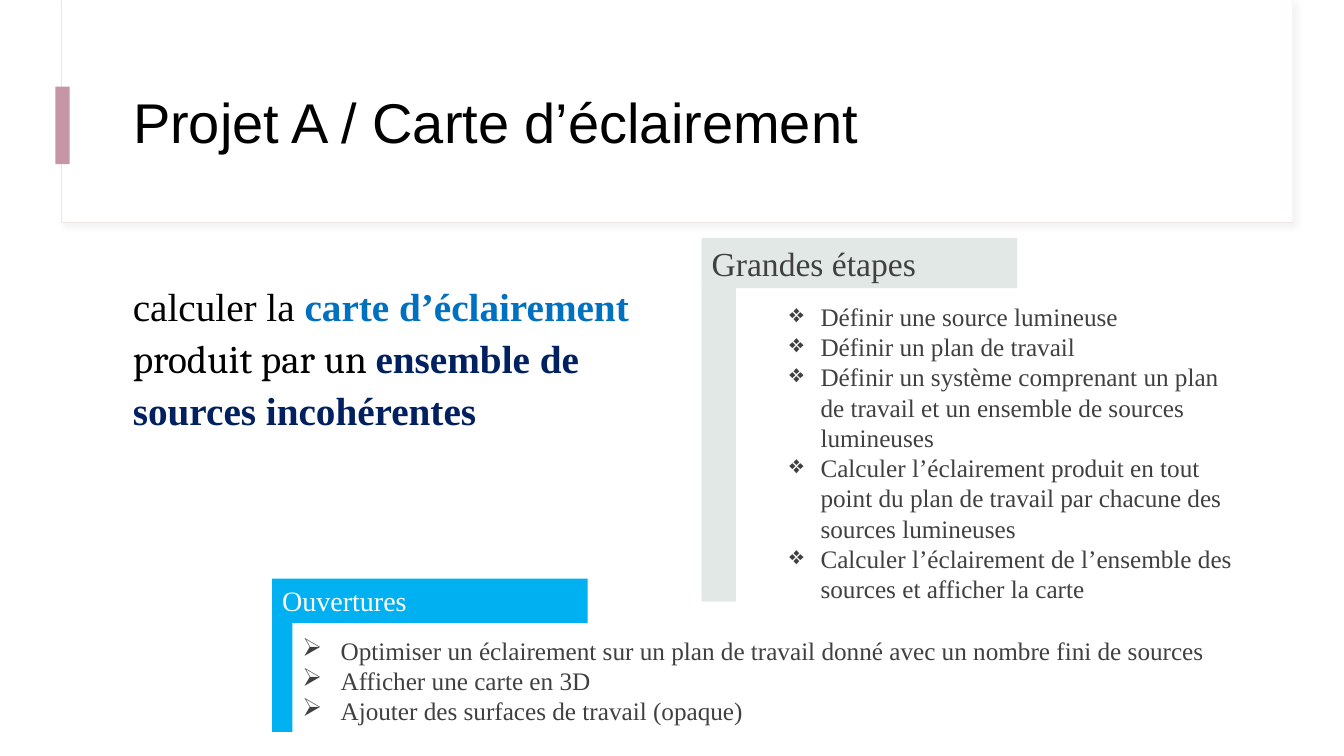
from lxml import etree
from pptx import Presentation
from pptx.dml.color import RGBColor
from pptx.enum.shapes import MSO_SHAPE
from pptx.enum.text import MSO_ANCHOR, MSO_AUTO_SIZE, PP_ALIGN
from pptx.oxml.ns import qn
from pptx.util import Inches, Pt

RECTANGLE = MSO_SHAPE.RECTANGLE
TOP, MIDDLE = MSO_ANCHOR.TOP, MSO_ANCHOR.MIDDLE
LEFT = PP_ALIGN.LEFT
FIXED = MSO_AUTO_SIZE.NONE

SERIF = "Times New Roman"
WHITE, BLACK, GREY = "FFFFFF", "000000", "404040"

# Content
TITLE = "Projet A / Carte d’éclairement"
GOAL = [  # text, font, colour, bold
    ("calculer la ", SERIF, BLACK, False),
    ("carte d’éclairement ", SERIF, "0070C0", True),
    ("produit par un ", "Cambria", BLACK, False),
    ("ensemble de sources incohérentes", SERIF, "002060", True),
]
SECTIONS = [
    {
        "heading": "Grandes étapes", "size": 24, "color": GREY, "fill": "E2E8E6",
        "header": (6.96, 2.36, 3.13, 0.5), "bar": (6.96, 2.84, 0.34, 3.13),
        "list": (7.73, 2.94, 4.72, 3.13), "bullet": "❖", "indent": 0.31,
        "items": [
            "Définir une source lumineuse",
            "Définir un plan de travail",
            "Définir un système comprenant un plan de travail et un ensemble de sources lumineuses",
            "Calculer l’éclairement produit en tout point du plan de travail par chacune des sources lumineuses",
            "Calculer l’éclairement de l’ensemble des sources et afficher la carte",
        ],
    },
    {
        "heading": "Ouvertures", "size": 20, "color": WHITE, "fill": "00B0F0",
        "header": (2.7, 5.74, 3.13, 0.44), "bar": (2.7, 6.18, 0.2, 1.08),
        "list": (2.9, 6.25, 9.56, 1.01), "bullet": "➢", "indent": 0.38,
        "items": [
            "Optimiser un éclairement sur un plan de travail donné avec un nombre fini de sources",
            "Afficher une carte en 3D",
            "Ajouter des surfaces de travail (opaque)",
        ],
    },
]


def rgb(color):
    return RGBColor.from_string(color)


def set_font(font, name, size, color, bold=False):
    font.name, font.size, font.bold = name, Pt(size), bold
    font.color.rgb = rgb(color)


def add_block(page, area, fill):
    block = page.shapes.add_shape(RECTANGLE, *map(Inches, area))
    block.shadow.inherit = False
    block.fill.solid()
    block.fill.fore_color.rgb = rgb(fill)
    block.line.fill.background()
    return block


def add_text_box(page, area):
    frame = page.shapes.add_textbox(*map(Inches, area)).text_frame
    frame.word_wrap = True
    return frame


def add_soft_shadow(shape):
    effects = shape.element.spPr.find(qn("a:effectLst"))
    shadow = etree.SubElement(effects, qn("a:outerShdw"), blurRad=str(Pt(4)),
                              dist=str(Pt(3)), dir=str(45 * 60000), algn="tl", rotWithShape="0")
    color = etree.SubElement(shadow, qn("a:srgbClr"), val="D9D9D9")
    etree.SubElement(color, qn("a:alpha"), val="30000")


def set_bullet(para, symbol, indent):
    props = para._p.get_or_add_pPr()
    props.set("marL", str(Inches(indent)))
    props.set("indent", str(-Inches(indent)))
    etree.SubElement(props, qn("a:buChar"), char=symbol)


def add_section(page, section):
    header = add_block(page, section["header"], section["fill"])
    add_block(page, section["bar"], section["fill"])
    header.text_frame.vertical_anchor = TOP
    para = header.text_frame.paragraphs[0]
    para.text, para.alignment = section["heading"], LEFT
    set_font(para.font, SERIF, section["size"], section["color"])

    frame = add_text_box(page, section["list"])
    for index, item in enumerate(section["items"]):
        para = frame.add_paragraph() if index else frame.paragraphs[0]
        para.text = item
        set_font(para.font, SERIF, 18, GREY)
        set_bullet(para, section["bullet"], section["indent"])


deck = Presentation()
deck.slide_width, deck.slide_height = Inches(13.33), Inches(7.5)
page = deck.slides.add_slide(deck.slide_layouts[5])

# Title panel with its outline and accent
panel = add_block(page, (0.61, 0, 12.21, 2.21), WHITE)
panel.line.color.rgb = rgb("F0E5E5")
panel.line.width = Pt(0.75)
add_soft_shadow(panel)
add_block(page, (0.62, 0, 12.2, 2.2), WHITE)
add_block(page, (0.55, 0.86, 0.14, 0.77), "C696A7")

# Title, brought in front of the panel
title = page.shapes.title
title.left, title.top, title.width, title.height = map(Inches, (1.22, 0.6, 11.12, 1.29))
title.element.getparent().append(title.element)
title.text_frame.auto_size = FIXED
title.text_frame.vertical_anchor = MIDDLE
para = title.text_frame.paragraphs[0]
para.text, para.alignment, para.line_spacing = TITLE, LEFT, 0.9
set_font(para.font, "Arial", 40, BLACK)

# Goal
para = add_text_box(page, (1.22, 2.71, 5.4, 4.04)).paragraphs[0]
para.line_spacing, para.space_before = 1.1, Pt(10)
for text, font, color, bold in GOAL:
    span = para.add_run()
    span.text = text
    set_font(span.font, font, 28, color, bold)

# Steps and extensions
for section in SECTIONS:
    add_section(page, section)

deck.save("out.pptx")
